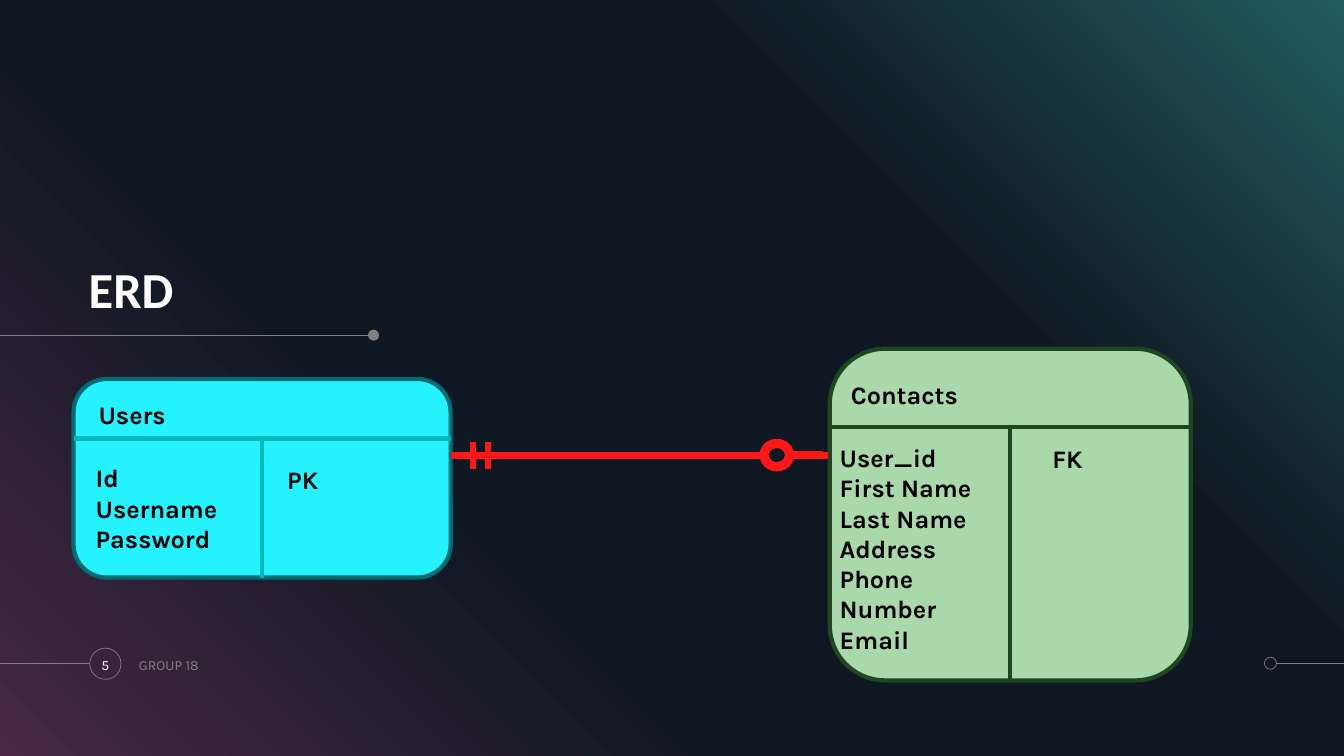
from lxml import etree
from pptx import Presentation, util as u
from pptx.dml.color import RGBColor
from pptx.enum import shapes, text
from pptx.oxml import parse_xml
from pptx.oxml.ns import nsdecls, qn

COLORS = {
    "white": "FFFFFF", "black": "000000", "soft_black": "0D0D0D", "gray": "808080",
    "plum": "482845", "night": "0F1722", "teal": "225B5F",
    "cyan": "24F3FF", "cyan_edge": "006D74", "cyan_rule": "00BBBB",
    "green": "A9D9AB", "green_edge": "1F4621", "red": "FF1616",
}
COLUMNS, ROWS = 13.33, 7.5
BACKDROP_STOPS = [(0, "plum"), (34, "night"), (69, "night"), (100, "teal")]


def rgb(name):
    return RGBColor.from_string(COLORS[name])


def write(frame, content, size=18, font="Karla", color="black", bold=False,
          align=text.PP_ALIGN.LEFT, anchor=text.MSO_ANCHOR.TOP, spacing=None,
          fit=text.MSO_AUTO_SIZE.NONE):
    """Fill a text frame, one paragraph for each line of content."""
    frame.text = content
    frame.word_wrap = True
    frame.auto_size = fit
    frame.vertical_anchor = anchor
    for paragraph in frame.paragraphs:
        paragraph.alignment = align
        paragraph.line_spacing = spacing
        for run in paragraph.runs:
            run.font.size = u.Pt(size)
            run.font.name = font
            run.font.bold = bold
            run.font.color.rgb = rgb(color)


class SlideBuilder:
    """Places elements on a slide by grid column and row."""

    def __init__(self, presentation):
        self.column = presentation.slide_width / COLUMNS
        self.row = presentation.slide_height / ROWS
        self.slide = presentation.slides.add_slide(presentation.slide_layouts[5])

    def place(self, column, row, width, height):
        return (round(column * self.column), round(row * self.row),
                round(width * self.column), round(height * self.row))

    def shape(self, kind, box, fill=None, edge=None, weight=0.5):
        shape = self.slide.shapes.add_shape(kind, *self.place(*box))
        shape.shadow.inherit = False
        if fill:
            shape.fill.solid()
            shape.fill.fore_color.rgb = rgb(fill)
        else:
            shape.fill.background()
        if edge:
            shape.line.color.rgb = rgb(edge)
            shape.line.width = u.Pt(weight)
        else:
            shape.line.fill.background()
        return shape

    def backdrop(self):
        shape = self.shape(shapes.MSO_SHAPE.RECTANGLE, (0, 0, COLUMNS, ROWS))
        stops = "".join(
            f'<a:gs pos="{share * 1000}"><a:srgbClr val="{COLORS[name]}"/></a:gs>'
            for share, name in BACKDROP_STOPS)
        gradient = parse_xml(
            f'<a:gradFill {nsdecls("a")} rotWithShape="1"><a:gsLst>{stops}</a:gsLst>'
            f'<a:lin ang="{315 * 60000}" scaled="0"/></a:gradFill>')
        properties = shape._element.spPr
        properties.replace(properties.find(qn("a:noFill")), gradient)

    def line(self, start, end, color="gray", weight=0.5, bottom_of=None):
        """Draw a line; bottom_of is the box whose bottom middle it starts from."""
        begin_x, begin_y, end_x, end_y = self.place(*start, *end)
        connector = self.slide.shapes.add_connector(
            shapes.MSO_CONNECTOR.STRAIGHT, begin_x, begin_y, end_x, end_y)
        if bottom_of is not None:
            connector.begin_connect(bottom_of, 2)
        connector.line.color.rgb = rgb(color)
        connector.line.width = u.Pt(weight)
        etree.SubElement(connector._element.spPr, qn("a:effectLst"))

    def title(self, content, box):
        title = self.slide.shapes.title
        title.left, title.top, title.width, title.height = self.place(*box)
        frame = title.text_frame
        frame.margin_left = frame.margin_right = 0
        frame.margin_top = frame.margin_bottom = 0
        write(frame, content, size=36, font="Calibri", color="white", bold=True,
              anchor=text.MSO_ANCHOR.BOTTOM, spacing=0.9)
        self.slide.shapes._spTree.append(title._element)  # bring above the backdrop

    def text(self, content, box, **style):
        write(self.slide.shapes.add_textbox(*self.place(*box)).text_frame, content, **style)

    def label(self, content, box, color="black"):
        self.text(content, box, color=color, bold=True,
                  fit=text.MSO_AUTO_SIZE.SHAPE_TO_FIT_TEXT)

    def entity(self, box, fill, edge, rule, header_row):
        """Draw a rounded box split into a header and two columns."""
        left, _, width, _ = box
        body = self.shape(shapes.MSO_SHAPE.ROUNDED_RECTANGLE, box, fill, edge, 3)
        self.line((left, header_row), (left + width, header_row), rule, 3)
        middle = left + width / 2
        self.line((middle, header_row), (middle, header_row), rule, 3, bottom_of=body)


def main():
    presentation = Presentation()
    presentation.slide_width = u.Inches(COLUMNS)
    presentation.slide_height = u.Inches(ROWS)
    builder = SlideBuilder(presentation)
    oval = shapes.MSO_SHAPE.OVAL

    builder.backdrop()
    builder.line((0, 3.33), (3.7, 3.33))
    builder.shape(oval, (3.65, 3.27, 0.11, 0.11), fill="gray")
    builder.shape(oval, (0.89, 6.43, 0.31, 0.31), edge="gray")
    builder.line((12.66, 6.58), (COLUMNS, 6.58))
    builder.shape(oval, (12.54, 6.52, 0.12, 0.12), edge="gray")
    builder.line((0, 6.58), (0.88, 6.58))

    builder.title("ERD", (0.88, 2.29, 5.49, 0.88))
    middle = text.MSO_ANCHOR.MIDDLE
    builder.text("5", (0.85, 6.43, 0.39, 0.33), size=10, color="white",
                 align=text.PP_ALIGN.CENTER, anchor=middle)
    builder.text("GROUP 18", (1.28, 6.43, 3.19, 0.33), size=10, color="gray", anchor=middle)

    builder.entity((0.73, 3.76, 3.74, 1.97), "cyan", "cyan_edge", "cyan_rule", 4.35)
    builder.entity((8.23, 3.46, 3.58, 3.29), "green", "green_edge", "green_edge", 4.24)

    builder.line((4.47, 4.52), (7.63, 4.52), "red", 4.5)
    builder.label("Users", (0.88, 3.91, 3.37, 0.4))
    builder.label("Id\nUsername\nPassword", (0.85, 4.54, 1.68, 1.01))
    builder.label("PK", (2.75, 4.56, 1.58, 0.4), color="soft_black")
    builder.label("Contacts", (8.34, 3.71, 2.01, 0.4))
    builder.label("User_id\nFirst Name\nLast Name\nAddress\nPhone Number\nEmail",
                  (8.23, 4.34, 1.87, 1.92))
    builder.label("FK", (10.34, 4.35, 1.05, 0.4))

    for tick in (4.69, 4.84):
        builder.line((tick, 4.39), (tick, 4.65), "red", 4.5)
    builder.shape(shapes.MSO_SHAPE.DONUT, (7.54, 4.36, 0.33, 0.31), "red", "red", 1)
    for begin, row in ((7.87, 4.52), (7.82, 4.51)):
        builder.line((begin, row), (begin + 0.34, row), "red", 4.5)

    presentation.save("out.pptx")


if __name__ == "__main__":
    main()
